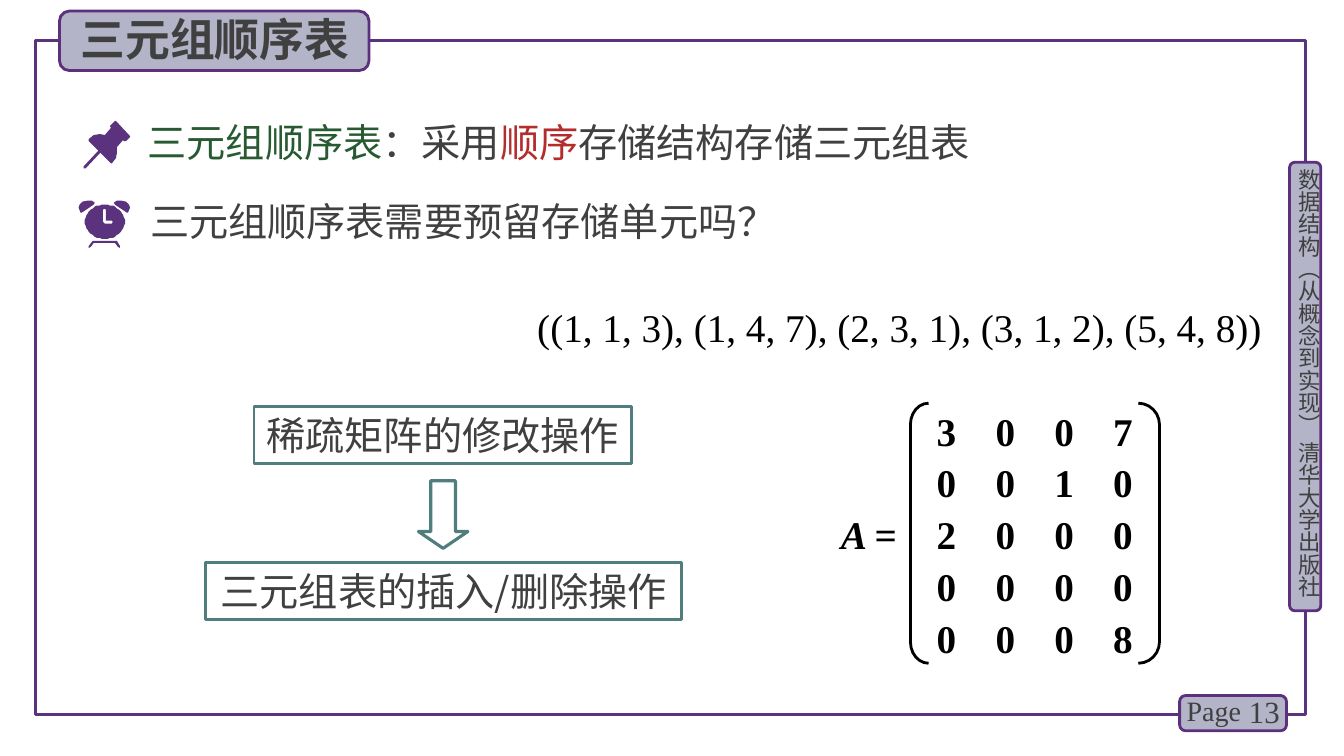
import math
from lxml import etree
from pptx import Presentation
from pptx import util as u
from pptx.dml.color import RGBColor
from pptx.enum import shapes, text
from pptx.oxml.ns import qn

PX = 9144
PURPLE = RGBColor(0x5A, 0x32, 0x7D)
EDGE = RGBColor(0x5C, 0x30, 0x7D)
LILAC = RGBColor(0xB4, 0xB4, 0xC8)
GRAY = RGBColor(0x40, 0x40, 0x40)
GREEN = RGBColor(0x28, 0x5A, 0x32)
RED = RGBColor(0xB4, 0x2D, 0x2D)
TEAL = RGBColor(0x50, 0x7D, 0x7D)
BLACK = RGBColor(0, 0, 0)
HAN = "Noto Sans CJK SC"
ROMAN = "Times New Roman"
KIND = shapes.MSO_SHAPE
ALIGN = text.PP_ALIGN


def write(para, words, size=28, font=HAN, color=GRAY, bold=False, slant=False):
    """Add one formatted run to a paragraph."""
    run = para.add_run()
    run.text = words
    face = run.font
    face.size, face.name, face.bold, face.italic = u.Pt(size), font, bold, slant
    face.color.rgb = color
    if font == HAN:
        etree.SubElement(run._r.get_or_add_rPr(), qn("a:ea")).set("typeface", font)


class Page:
    """Draw styled elements on one slide."""

    def __init__(self, deck):
        self.items = deck.slides.add_slide(deck.slide_layouts[6]).shapes

    def paint(self, item, fill=None, line=None, width=2):
        item.shadow.inherit = False
        if fill is None:
            item.fill.background()
        else:
            item.fill.solid()
            item.fill.fore_color.rgb = fill
        if line is None:
            item.line.fill.background()
        else:
            item.line.color.rgb = line
            item.line.width = u.Pt(width)

    def shape(self, kind, box, fill=None, line=EDGE, width=2, adjust=()):
        item = self.items.add_shape(kind, *(n * PX for n in box))
        self.paint(item, fill, line, width)
        for i, value in enumerate(adjust):
            item.adjustments[i] = value
        return item

    def free(self, *loops):
        form = self.items.build_freeform(*loops[0][0], scale=PX)
        for i, loop in enumerate(loops):
            if i:
                form.move_to(*loop[0])
            form.add_line_segments(loop[1:], close=True)
        self.paint(form.convert_to_shape(), PURPLE)

    def frame(self, item, side=10, top=5):
        body = item.text_frame
        body.word_wrap = True
        body.margin_left = body.margin_right = side * PX
        body.margin_top = body.margin_bottom = top * PX
        body.vertical_anchor = text.MSO_ANCHOR.TOP
        return body

    def label(self, box, *runs, align=ALIGN.LEFT, side=10, top=5, **style):
        item = self.items.add_textbox(*(n * PX for n in box))
        body = self.frame(item, side, top)
        para = body.paragraphs[0]
        para.alignment = align
        for words, extra in runs:
            write(para, words, **{**style, **extra})
        return body

    def panel(self, box, words):
        item = self.shape(KIND.RECTANGLE, box, line=TEAL)
        para = self.frame(item, side=0).paragraphs[0]
        para.alignment = ALIGN.CENTER
        write(para, words)

    def grid(self, box, rows, pitch):
        body = self.label(box, side=0, top=0)
        for i, row in enumerate(rows):
            para = body.add_paragraph() if i else body.paragraphs[0]
            para.line_spacing = 1.1
            tabs = etree.SubElement(para._p.get_or_add_pPr(), qn("a:tabLst"))
            for k in range(1, len(row)):
                tab = etree.SubElement(tabs, qn("a:tab"))
                tab.set("pos", str(u.Pt(k * pitch)))
                tab.set("algn", "l")
            write(para, "\t".join(row), font=ROMAN, color=BLACK, bold=True)


def oval(x, y, wide, high, count=48):
    """Return points around an ellipse."""
    turns = [2 * math.pi * i / count for i in range(count)]
    return [(x + wide * math.cos(t), y + high * math.sin(t)) for t in turns]


def pin(page):
    """Draw the pushpin."""
    page.free([(129, 135), (115, 120), (114, 120), (109, 125), (110, 127),
               (104, 134), (99, 133), (93, 134), (88, 138), (88, 140),
               (110, 162), (111, 162), (115, 157), (116, 152), (116, 146),
               (122, 139), (123, 140), (125, 140), (129, 136)])
    page.free([(84, 167), (83, 167), (83, 165), (98, 149), (100, 149),
               (100, 151), (85, 167)])


def clock(page):
    """Draw the alarm clock."""
    page.free([(119, 244), (116, 239), (92, 239), (88, 244), (88, 246),
               (90, 245), (93, 241), (114, 241), (117, 245), (119, 246)])
    bell = [(87, 199), (82, 200), (79, 203), (78, 206), (80, 211), (81, 211),
            (93, 203), (94, 201), (91, 199)]
    page.free(bell)
    page.free([(207 - x, y) for x, y in bell])
    page.free(oval(104, 220, 20, 17),
              [(102, 208), (104, 207), (105, 208), (105, 219), (111, 219),
               (112, 220), (111, 222), (104, 222), (102, 220)])


def main():
    """Build the slide and save it."""
    deck = Presentation()
    deck.slide_width, deck.slide_height = 1333 * PX, 750 * PX
    page = Page(deck)
    page.shape(KIND.RECTANGLE, (35, 40, 1260, 669), line=PURPLE, width=2.25)
    for box in (1279, 161, 31, 445), (1170, 690, 106, 35), (59, 11, 307, 59):
        page.shape(KIND.ROUNDED_RECTANGLE, box, fill=LILAC)
    side = page.label((1285, 167, 27, 449),
                      ("数据结构（从概念到实现） 清华大学出版社", {}),
                      side=0, top=0, size=16)
    side._txBody.bodyPr.set("vert", "eaVert")
    number = page.label((1220, 686, 59, 40), ("13", {}), align=ALIGN.RIGHT,
                        size=22, font=ROMAN)
    number.vertical_anchor = text.MSO_ANCHOR.MIDDLE
    page.label((1167, 683, 78, 44), ("Page", {}), size=20, font=ROMAN)
    page.label((70, 7, 292, 64), ("三元组顺序表", {}), size=32, bold=True)

    page.label((128, 112, 1173, 57), (" ", {}), ("三元组顺序表", {"color": GREEN}),
               ("：采用", {}), ("顺序", {"color": RED}),
               ("存储结构存储三元组表", {}))
    pin(page)
    page.label((139, 191, 726, 57), ("三元组顺序表需要预留存储单元吗？", {}))
    clock(page)

    page.grid((929, 399, 228, 265), ("3007", "0010", "2000", "0000", "0008"), 42)
    page.shape(KIND.LEFT_BRACKET, (903, 400, 18, 258), line=BLACK, adjust=[1.17])
    page.shape(KIND.RIGHT_BRACKET, (1129, 400, 21, 258), line=BLACK, adjust=[1.02])
    page.label((834, 506, 60, 50), ("A ", {"slant": True}), ("=", {}),
               side=0, top=0, font=ROMAN, color=BLACK, bold=True)

    page.panel((252, 403, 374, 57), "稀疏矩阵的修改操作")
    page.shape(KIND.DOWN_ARROW, (415, 477, 49, 67), line=TEAL, width=2.25,
               adjust=[0.5, 0.34])
    page.panel((204, 558, 472, 57), "三元组表的插入/删除操作")
    page.label((523, 296, 752, 57),
               ("((1, 1, 3), (1, 4, 7), (2, 3, 1), (3, 1, 2), (5, 4, 8))", {}),
               font=ROMAN, color=BLACK)
    deck.save("out.pptx")


if __name__ == "__main__":
    main()
